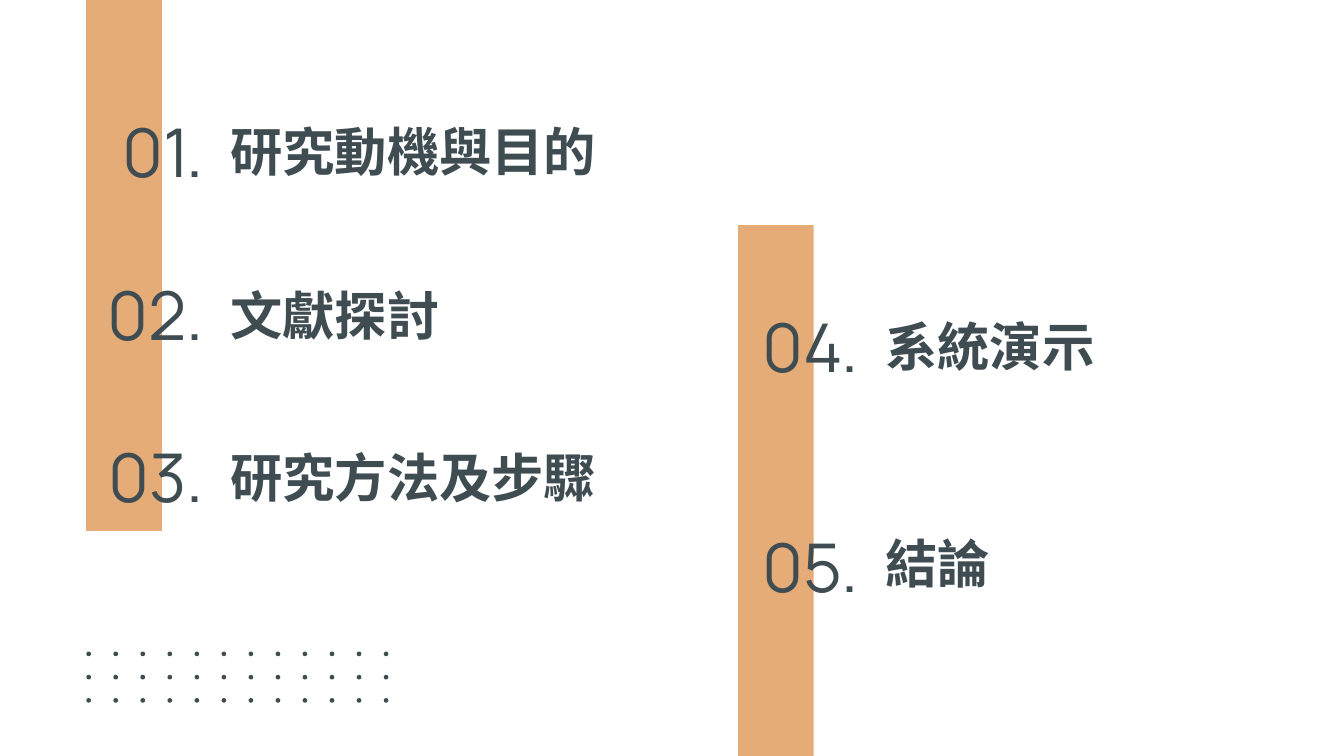
from pptx import Presentation
from pptx.dml.color import RGBColor
from pptx.enum import lang, shapes, text
from pptx.oxml.ns import qn
from pptx.util import Pt

COLORS = {"bar": "E5AC77", "ink": "3F4D53"}
FONT = "Manrope"
NUMBER_W, NUMBER_H, TITLE_H = 103.7, 42.5, 45.4


def add_filled(s, kind, box, color):
    """Add a borderless preset shape in one colour."""
    sp = s.shapes.add_shape(kind, *map(Pt, box))
    sp.shadow.inherit = False
    sp.fill.solid()
    sp.fill.fore_color.rgb = RGBColor.from_string(COLORS[color])
    sp.line.fill.background()


def add_label(s, box, label, size, bold, align, anchor):
    """Add a one-line text box."""
    tf = s.shapes.add_textbox(*map(Pt, box)).text_frame
    tf.word_wrap = True
    tf.vertical_anchor = anchor
    tf.margin_left = tf.margin_right = tf.margin_top = tf.margin_bottom = Pt(7.2)
    p = tf.paragraphs[0]
    p.alignment = align
    r = p.add_run()
    r.text = label
    r.font.name, r.font.size, r.font.bold = FONT, Pt(size), bold
    r.font.language_id = lang.MSO_LANGUAGE_ID.TRADITIONAL_CHINESE
    r.font.color.rgb = RGBColor.from_string(COLORS["ink"])
    ea = r.font._element.makeelement(qn("a:ea"), {"typeface": FONT})
    r.font._element.find(qn("a:latin")).addnext(ea)


def add_column(s, bar, title_x, entries):
    """Place a vertical bar with its numbered chapter titles."""
    add_filled(s, shapes.MSO_SHAPE.RECTANGLE, bar, "bar")
    for number, title, number_y, title_y, title_w in entries:
        add_label(s, (title_x - NUMBER_W, number_y, NUMBER_W, NUMBER_H), number,
                  36, False, text.PP_ALIGN.RIGHT, text.MSO_ANCHOR.BOTTOM)
        add_label(s, (title_x, title_y, title_w, TITLE_H), title,
                  28, True, text.PP_ALIGN.LEFT, text.MSO_ANCHOR.TOP)


def add_dots(s, box, cols, rows, size):
    """Spread a grid of dots evenly over a box."""
    x, y, w, h = box
    dx, dy = (w - size) / (cols - 1), (h - size) / (rows - 1)
    for row in range(rows):
        for col in range(cols):
            add_filled(s, shapes.MSO_SHAPE.OVAL,
                       (x + col * dx, y + row * dy, size, size), "ink")


def main():
    """Build the contents slide."""
    prs = Presentation()
    prs.slide_width, prs.slide_height = Pt(720), Pt(405)
    s = prs.slides.add_slide(prs.slide_layouts[6])
    add_column(s, (46.2, 0, 40.5, 284.4), 116.4, [
        ("01.", "研究動機與目的", 67, 56.9, 216.7),
        ("02.", "文獻探討", 154.1, 144.7, 141.1),
        ("03.", "研究方法及步驟", 241.2, 231.1, 213.1),
    ])
    add_column(s, (395.4, 120.6, 40.5, 284.4), 467.3, [
        ("04.", "系統演示", 171.4, 161.3, 141.1),
        ("05.", "結論", 289.4, 277.2, 141.1),
    ])
    add_dots(s, (46.3, 349.1, 161.8, 27.4), 12, 3, 2.5)
    prs.save("out.pptx")


if __name__ == "__main__":
    main()
